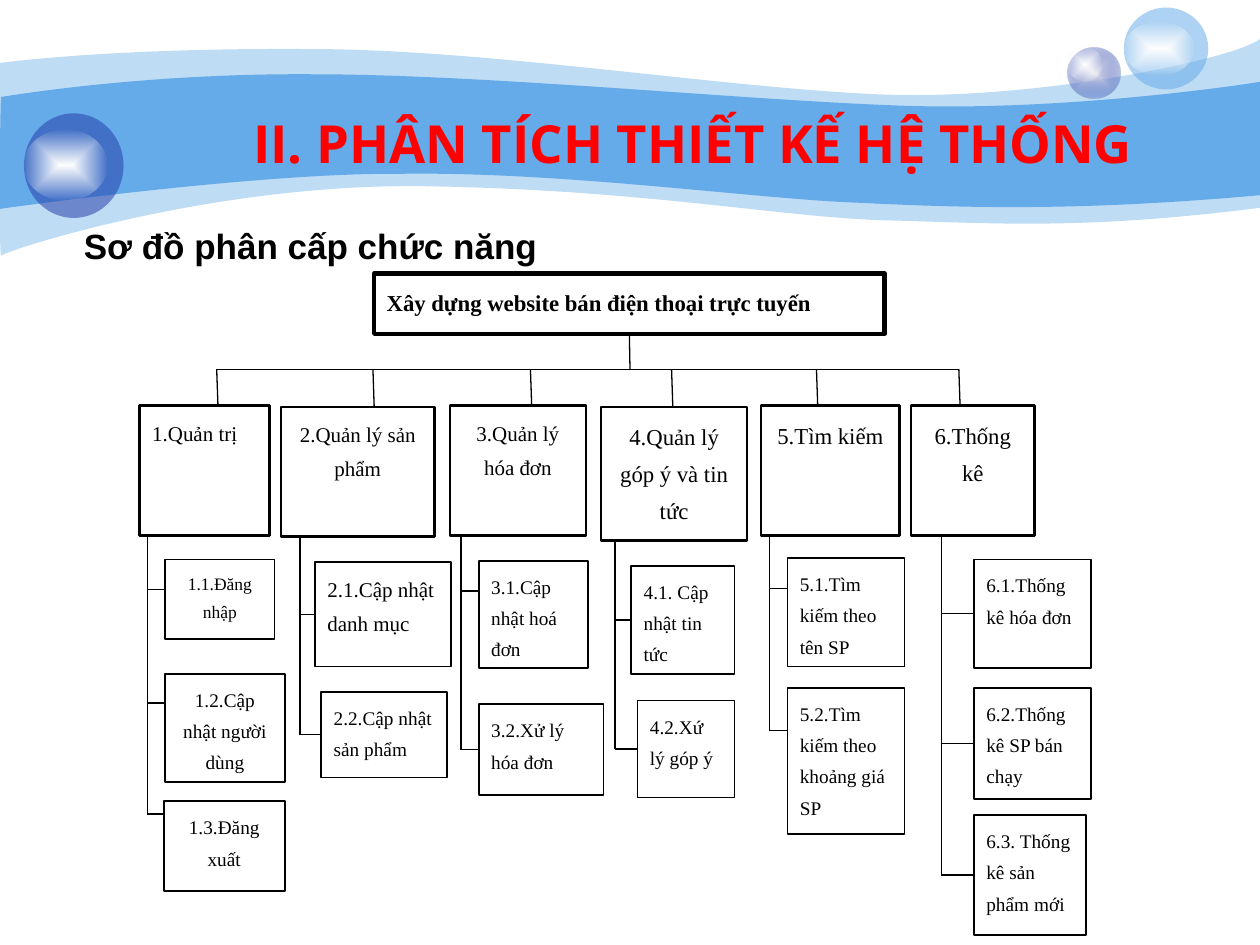
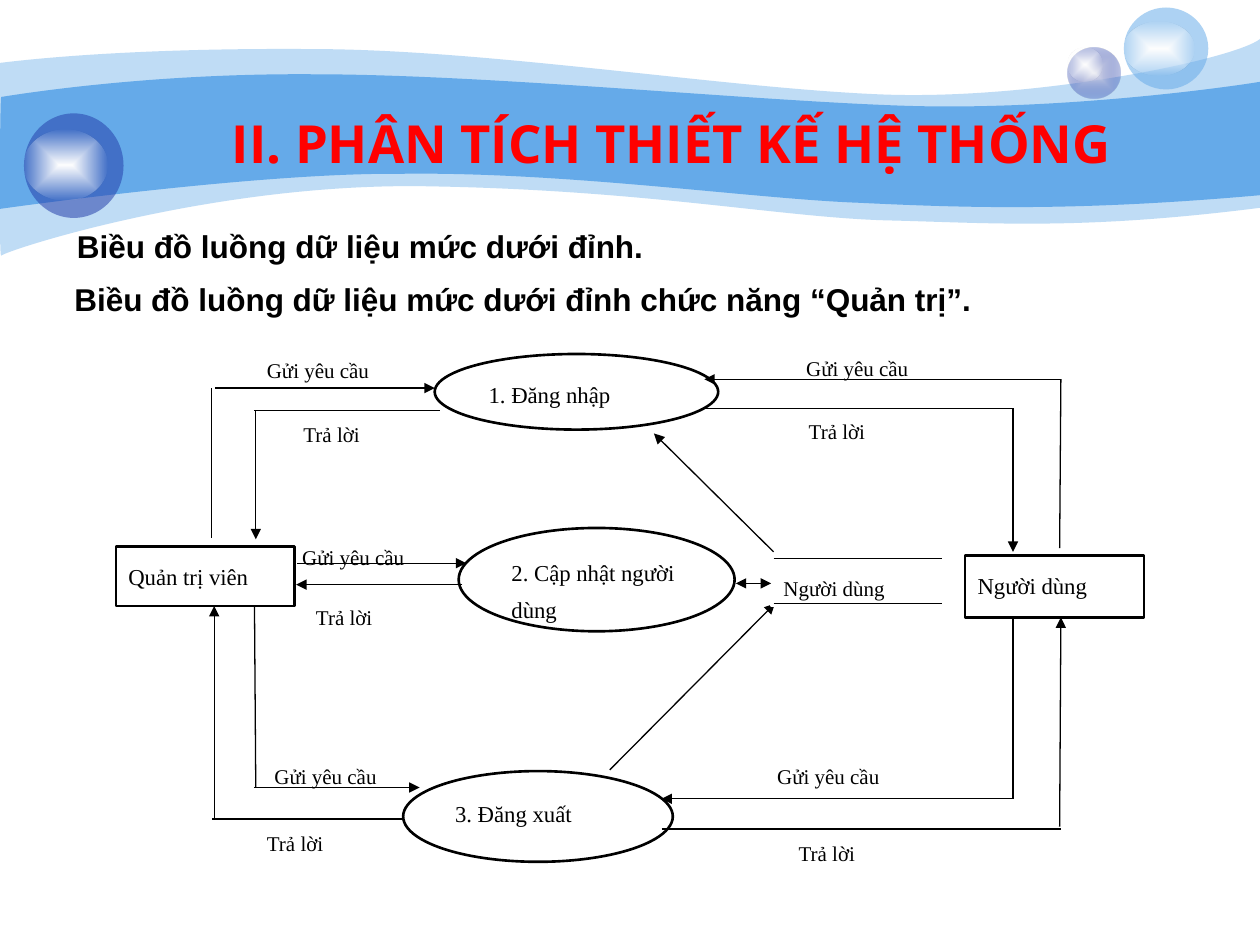
"""Build two system-analysis slides: a function hierarchy and a data-flow diagram."""
from dataclasses import dataclass
from typing import NamedTuple, Optional

import pptx
import pptx.dml.color
import pptx.enum.shapes
import pptx.enum.text
import pptx.oxml.ns
import pptx.util
from lxml import etree

RGBColor = pptx.dml.color.RGBColor
SHAPE = pptx.enum.shapes.MSO_SHAPE
ALIGN = pptx.enum.text.PP_ALIGN
qn = pptx.oxml.ns.qn

SKY = RGBColor(0x65, 0xAA, 0xE9)
NAVY = RGBColor(0x23, 0x3D, 0xA9)
SILVER = RGBColor(0xE1, 0xE2, 0xED)
WHITE = RGBColor(0xFF, 0xFF, 0xFF)
BLACK = RGBColor(0, 0, 0)
RED = RGBColor(0xFF, 0, 0)

WIDTH, HEIGHT = pptx.util.Inches(10), pptx.util.Inches(7.5)
COLS, ROWS = 100, 75
TITLE = "II. PHÂN TÍCH THIẾT KẾ HỆ THỐNG"
SERIF, SANS, HEADLINE = "Times New Roman", "Arial", "Open Sans"


class Area(NamedTuple):
    """A rectangle in grid columns and rows."""
    x: float
    y: float
    w: float
    h: float


class Ball(NamedTuple):
    """A translucent ball with its white highlight."""
    area: Area
    color: RGBColor
    shine: Area
    alpha: int
    center: Optional[RGBColor] = None


@dataclass
class Box:
    """A bordered text box; tick is the row where its branch line arrives, None for the middle."""
    text: str
    area: Area
    size: int = 11
    align: ALIGN = ALIGN.LEFT
    tick: Optional[float] = None
    border: float = 1
    bold: bool = False
    color: RGBColor = BLACK
    shape: SHAPE = SHAPE.RECTANGLE
    filled: bool = True
    before: float = 7.2
    after: float = 7.2


@dataclass
class Branch:
    """A main function, the columns of its drop and trunk lines, and its sub-functions."""
    head: Box
    drop: float
    trunk: float
    children: list[Box]


class Flow(NamedTuple):
    """A line from one grid point to another with optional arrowheads."""
    x1: float
    y1: float
    x2: float
    y2: float
    tail: bool = True
    head: bool = False


def col(n: float) -> int:
    """Return the length of n grid columns."""
    return pptx.util.Emu(round(WIDTH * n / COLS))


def row(n: float) -> int:
    """Return the length of n grid rows."""
    return pptx.util.Emu(round(HEIGHT * n / ROWS))


def bounds(a: Area) -> tuple:
    """Return an area as left, top, width and height."""
    return col(a.x), row(a.y), col(a.w), row(a.h)


def write(tf, text: str, size: float, font: str, color: RGBColor, bold=False, align=ALIGN.LEFT):
    """Set the text of a frame, format it and return its paragraph."""
    tf.text = text
    tf.word_wrap = True
    tf.auto_size = pptx.enum.text.MSO_AUTO_SIZE.NONE
    tf.vertical_anchor = pptx.enum.text.MSO_ANCHOR.TOP
    p = tf.paragraphs[0]
    p.alignment = align
    r = p.runs[0]
    r.font.size, r.font.name, r.font.bold = pptx.util.Pt(size), font, bold
    r.font.color.rgb = color
    return p


def add_color(parent, color: RGBColor, alpha: int) -> None:
    """Append a colour with an opacity percentage."""
    clr = etree.SubElement(parent, qn("a:srgbClr"), val=str(color))
    etree.SubElement(clr, qn("a:alpha"), val=str(alpha * 1000))


def paint(sp, color: RGBColor, alpha: int, center: Optional[RGBColor] = None) -> None:
    """Fill a borderless shape with a translucent colour or a radial gradient."""
    sp.shadow.inherit = False
    sp.line.fill.background()
    sp.fill.background()
    old = sp.element.spPr.find(qn("a:noFill"))
    fill = etree.Element(qn("a:gradFill" if center else "a:solidFill"))
    if center:
        stops = etree.SubElement(fill, qn("a:gsLst"))
        for pos, tone, opacity in ((0, center, 100), (100, color, alpha)):
            add_color(etree.SubElement(stops, qn("a:gs"), pos=str(pos * 1000)), tone, opacity)
        radial = etree.SubElement(fill, qn("a:path"), {"path": "shape"})
        etree.SubElement(radial, qn("a:fillToRect"), {s: "50000" for s in "ltrb"})
    else:
        add_color(fill, color, alpha)
    old.getparent().replace(old, fill)


def add_band(shapes, start: tuple, sides: list, alpha: int):
    """Draw a wave band; a side of three points is a cubic curve, of one point a straight line."""
    points = [(col(side[i]), row(side[i + 1])) for side in sides for i in range(0, len(side), 2)]
    builder = shapes.build_freeform(col(start[0]), row(start[1]), scale=1.0)
    builder.add_line_segments(points, close=True)
    sp = builder.convert_to_shape()
    segments = iter(list(sp.element.iter(qn("a:lnTo"))))
    for side in sides:
        first = next(segments)
        if len(side) == 6:
            curve = etree.Element(qn("a:cubicBezTo"))
            first.addprevious(curve)
            for segment in (first, next(segments), next(segments)):
                curve.append(segment[0])
                segment.getparent().remove(segment)
    paint(sp, SKY, alpha)
    return sp


def decorate(layout, slide) -> None:
    """Draw the waves and balls and move them to the layout the slides share."""
    shapes = slide.shapes
    drawn = [add_band(shapes, start, sides, alpha) for start, sides, alpha in BANDS]
    for ball in BALLS:
        for area, color, alpha, center in ((ball.area, ball.color, ball.alpha, ball.center),
                                           (ball.shine, WHITE, 0, WHITE)):
            sp = shapes.add_shape(SHAPE.OVAL, *bounds(area))
            paint(sp, color, alpha, center)
            drawn.append(sp)
    for i, sp in enumerate(drawn):
        sp.element.find(".//" + qn("p:cNvPr")).set("id", str(100 + i))
        layout.shapes.element.insert(2 + i, sp.element)


def add_title(slide, area: Area) -> None:
    """Place and format the title."""
    sp = slide.shapes.title
    sp.left, sp.top, sp.width, sp.height = bounds(area)
    write(sp.text_frame, TITLE, 30, HEADLINE, RED, True, ALIGN.CENTER)


def add_heading(slide, text: str, area: Area, size: float, margin: float = 1, align=ALIGN.LEFT) -> None:
    """Add a bold subheading with its left margin in columns."""
    tf = slide.shapes.add_textbox(*bounds(area)).text_frame
    tf.margin_left = col(margin)
    write(tf, text, size, SANS, BLACK, True, align)


def add_box(slide, box: Box):
    """Draw a text box or ellipse."""
    sp = slide.shapes.add_shape(box.shape, *bounds(box.area))
    sp.shadow.inherit = False
    if box.filled:
        sp.fill.solid()
        sp.fill.fore_color.rgb = WHITE
    else:
        sp.fill.background()
    sp.line.color.rgb, sp.line.width = box.color, pptx.util.Pt(box.border)
    p = write(sp.text_frame, box.text, box.size, SERIF, BLACK, box.bold, box.align)
    p.line_spacing = 1.35
    p.space_before, p.space_after = pptx.util.Pt(box.before), pptx.util.Pt(box.after)
    return sp


def add_flow(slide, flow: Flow):
    """Draw a thin black line with its arrowheads."""
    line = slide.shapes.add_connector(pptx.enum.shapes.MSO_CONNECTOR.STRAIGHT, col(flow.x1),
                                      row(flow.y1), col(flow.x2), row(flow.y2))
    line.line.color.rgb, line.line.width = BLACK, pptx.util.Pt(0.75)
    spPr = line.element.spPr
    for tag, shown in (("a:headEnd", flow.head), ("a:tailEnd", flow.tail)):
        if shown:
            etree.SubElement(spPr.find(qn("a:ln")), qn(tag), type="triangle")
    etree.SubElement(spPr, qn("a:effectLst"))
    return line


def label(text: str, x: float, y: float, w: float, h: float) -> Box:
    """Describe a white, borderless flow label."""
    return Box(text, Area(x, y, w, h), 12, border=0.75, color=WHITE, before=3, after=0)


def process(text: str, x: float, y: float, w: float, h: float) -> Box:
    """Describe a process ellipse."""
    return Box(text, Area(x, y, w, h), 13, border=1.5, shape=SHAPE.OVAL, filled=False, before=3, after=0)


def main_box(text: str, x: float, y: float, w: float, h: float, size=13, align=ALIGN.CENTER) -> Box:
    """Describe a main function or actor box with a heavier border."""
    return Box(text, Area(x, y, w, h), size, align, border=1.5)


BANDS = [
    ((0, 5), [(2.4, 4.7, 10.7, 3.8, 24.7, 3.9), (38.6, 3.9, 57.5, 7, 69.9, 7.5),
              (82.2, 8, 98, 4.7, 100, 3.1), (100, 16.5), (85.8, 18.3, 78.7, 17.7, 70.5, 17.5),
              (62.2, 17.3, 51.5, 15.1, 34.3, 14.8), (17.2, 14.4, 0.4, 19.9, 0.1, 20.3),
              (-0.1, 20.8, 0, 7.5, 0, 5)], 41),
    ((0.1, 7.7), [(0.2, 7.7, 11, 5.8, 24.8, 5.9), (38.6, 5.9, 59.5, 8, 71.8, 8.4),
                  (84.1, 8.8, 97.6, 6.9, 100, 6.5), (100, 15.5), (85.3, 16.8, 76.5, 16.5, 68.2, 16.1),
                  (59.9, 15.8, 44.7, 13.6, 31.7, 13.8), (20.3, 13.7, -0.2, 16.6, -0.1, 16.6),
                  (0, 16.6, 0, 7.7, 0.1, 7.7)], 100),
]
BALLS = [
    Ball(Area(84.7, 3.8, 4.2, 4), NAVY, Area(84.7, 3.8, 2.8, 2.7), 31, SILVER),
    Ball(Area(89.2, 0.6, 6.7, 6.5), SKY, Area(89.2, 1.7, 5.6, 4.3), 53),
    Ball(Area(1.9, 9, 7.9, 8.3), NAVY, Area(1.9, 10.3, 6.6, 5.6), 53),
]

BUS = 29.3
ROOT = Box("Xây dựng website bán điện thoại trực tuyến", Area(29.7, 21.7, 40.5, 4.8), 13, border=2.5, bold=True)
BRANCHES = [
    Branch(main_box("1.Quản trị", 11.1, 32.2, 10.3, 10.3, 12, ALIGN.LEFT), 17.2, 11.7, [
        Box("1.1.Đăng nhập", Area(13.1, 44.4, 8.7, 6.3), 10, ALIGN.CENTER, 46.8),
        Box("1.2.Cập nhật người dùng", Area(13.1, 53.5, 9.5, 8.6), 11, ALIGN.CENTER, 55.8),
        Box("1.3.Đăng xuất", Area(13, 63.6, 9.6, 7.1), 11, ALIGN.CENTER, 64.6)]),
    Branch(main_box("2.Quản lý sản phẩm", 22.3, 32.3, 12.2, 10.3, 12), 29.6, 23.8, [
        Box("2.1.Cập nhật danh mục", Area(25, 44.6, 10.8, 8.3), 12),
        Box("2.2.Cập nhật sản phẩm", Area(25.5, 54.9, 10, 6.8))]),
    Branch(main_box("3.Quản lý hóa đơn", 35.7, 32.2, 10.8, 10.3, 12), 42.1, 36.6, [
        Box("3.1.Cập nhật hoá đơn", Area(38, 44.5, 8.7, 8.5), tick=46.9),
        Box("3.2.Xử lý hóa đơn", Area(38, 55.9, 9.9, 7.2))]),
    Branch(main_box("4.Quản lý góp ý và tin tức", 47.7, 32.3, 11.6, 10.6), 53.3, 48.8, [
        Box("4.1. Cập nhật tin tức", Area(50.1, 44.9, 8.2, 8.6)),
        Box("4.2.Xứ lý góp ý", Area(50.6, 55.6, 7.7, 7.7))]),
    Branch(main_box("5.Tìm kiếm", 60.4, 32.2, 11, 10.3), 64.8, 61.1, [
        Box("5.1.Tìm kiếm theo tên SP", Area(62.5, 44.3, 9.3, 8.6), tick=46.7),
        Box("5.2.Tìm kiếm theo khoảng giá SP", Area(62.5, 54.6, 9.3, 11.6), tick=58)]),
    Branch(main_box("6.Thống kê", 72.3, 32.2, 9.8, 10.3), 76.1, 74.7, [
        Box("6.1.Thống kê hóa đơn", Area(77.3, 44.4, 9.3, 8.6)),
        Box("6.2.Thống kê SP bán chạy", Area(77.3, 54.6, 9.3, 8.8)),
        Box("6.3. Thống kê sản phẩm mới", Area(77.3, 64.7, 8.9, 9.5))]),
]

ASK, REPLY, USER = "Gửi yêu cầu", "Trả lời", "Người dùng"
STORE = label(USER, 61.2, 44.5, 13.4, 3.6)
NODES = [
    label(REPLY, 24.1, 46.8, 10, 2.9), label(ASK, 23, 42, 14.4, 3.3),
    label(REPLY, 62.4, 65.5, 9.9, 2.8), label(ASK, 60.7, 59.4, 13.3, 3.6),
    label(REPLY, 63.2, 32, 9.9, 3.3), label(ASK, 63, 27, 13.3, 3.4),
    label(REPLY, 23.1, 32.3, 9.9, 2.9), label(REPLY, 20.2, 64.7, 11.2, 2.9),
    label(ASK, 20.8, 59.4, 13.3, 3.6), label(ASK, 20.2, 27.2, 13.3, 3.1),
    process("1. Đăng nhập", 34.5, 28.1, 22.5, 6), process("2. Cập nhật người dùng", 36.4, 41.9, 21.9, 8.2),
    process("3. Đăng xuất", 32, 61.2, 21.4, 7.2),
    main_box("Quản trị viên", 9.2, 43.4, 14.2, 4.7, align=ALIGN.LEFT),
    main_box(USER, 76.6, 44.1, 14.2, 4.9, align=ALIGN.LEFT),
]
LOGOUT_TO_STORE = Flow(48.4, 61.1, 61.5, 47.9)
FLOWS = [
    Flow(36.7, 46.4, 23.5, 46.4), Flow(23.6, 44.7, 37, 44.7),
    Flow(16.8, 42.7, 16.8, 30.8, False), Flow(17.1, 30.8, 34.5, 30.8),
    Flow(34.9, 32.6, 20.2, 32.6, False), Flow(20.3, 32.6, 20.3, 42.8),
    Flow(20.2, 48.1, 20.3, 62.5, False), Flow(20.2, 62.5, 33.3, 62.5),
    Flow(32, 65, 16.8, 65, False), Flow(17, 65, 17, 48.1),
    Flow(61.4, 44.3, 74.8, 44.3, False), Flow(61.4, 47.9, 74.8, 47.9, False),
    Flow(84.1, 43.5, 84.2, 30.1, False), Flow(84.1, 30.1, 55.9, 30.1),
    Flow(80.4, 63.4, 80.4, 49, False), Flow(80.4, 63.4, 52.5, 63.4),
    Flow(55.9, 32.4, 80.4, 32.4, False), Flow(80.4, 32.4, 80.4, 43.8),
    Flow(52.5, 65.8, 84.2, 65.8, False), Flow(84.1, 65.6, 84.2, 49),
    Flow(61.4, 43.8, 51.9, 34.4),
]


def draw_branch(slide, branch: Branch) -> None:
    """Draw a main function with its trunk line and sub-functions."""
    head = branch.head.area
    add_box(slide, branch.head)
    add_flow(slide, Flow(branch.drop, BUS, branch.drop + 0.1, head.y, False))
    for child in branch.children:
        a = child.area
        end = a.y + a.h / 2 if child.tick is None else child.tick
        sp = add_box(slide, child)
        tick = add_flow(slide, Flow(branch.trunk, end, a.x, end, False))
        if child.tick is None:
            tick.end_connect(sp, 1)
    add_flow(slide, Flow(branch.trunk, head.y + head.h, branch.trunk, end, False))


def draw_hierarchy(slide) -> None:
    """Draw the function hierarchy."""
    add_title(slide, Area(5, 8.3, 100, 6.1))
    add_heading(slide, "Sơ đồ phân cấp chức năng", Area(2.4, 17.3, 44.5, 4.4), 20, align=ALIGN.CENTER)
    root = add_box(slide, ROOT)
    add_flow(slide, Flow(BRANCHES[0].drop, BUS, BRANCHES[-1].drop, BUS, False))
    add_flow(slide, Flow(49.9, 26.5, 50, BUS, False)).begin_connect(root, 2)
    for branch in BRANCHES:
        draw_branch(slide, branch)


def draw_data_flow(slide) -> None:
    """Draw the data-flow diagram of the administration function."""
    add_title(slide, Area(5, 8.3, 96.6, 6.1))
    add_heading(slide, "Biều đồ luồng dữ liệu mức dưới đỉnh.", Area(0, 17.5, 59.2, 4.4), 18, 6.1)
    add_heading(slide, "Biều đồ luồng dữ liệu mức dưới đỉnh chức năng “Quản trị”.", Area(0, 21.7, 98.4, 4.4), 18, 5.9)
    add_flow(slide, LOGOUT_TO_STORE)
    store = add_box(slide, STORE)
    for node in NODES:
        add_box(slide, node)
    for flow in FLOWS:
        add_flow(slide, flow)
    add_flow(slide, Flow(61.2, 46.3, 58.4, 46.3, head=True)).begin_connect(store, 1)


def main() -> None:
    """Build and save the presentation."""
    prs = pptx.Presentation()
    prs.slide_width, prs.slide_height = WIDTH, HEIGHT
    layout = prs.slide_layouts.get_by_name("Title Only")
    hierarchy, data_flow = (prs.slides.add_slide(layout) for _ in range(2))
    decorate(layout, hierarchy)
    draw_hierarchy(hierarchy)
    draw_data_flow(data_flow)
    prs.save("out.pptx")


if __name__ == "__main__":
    main()
